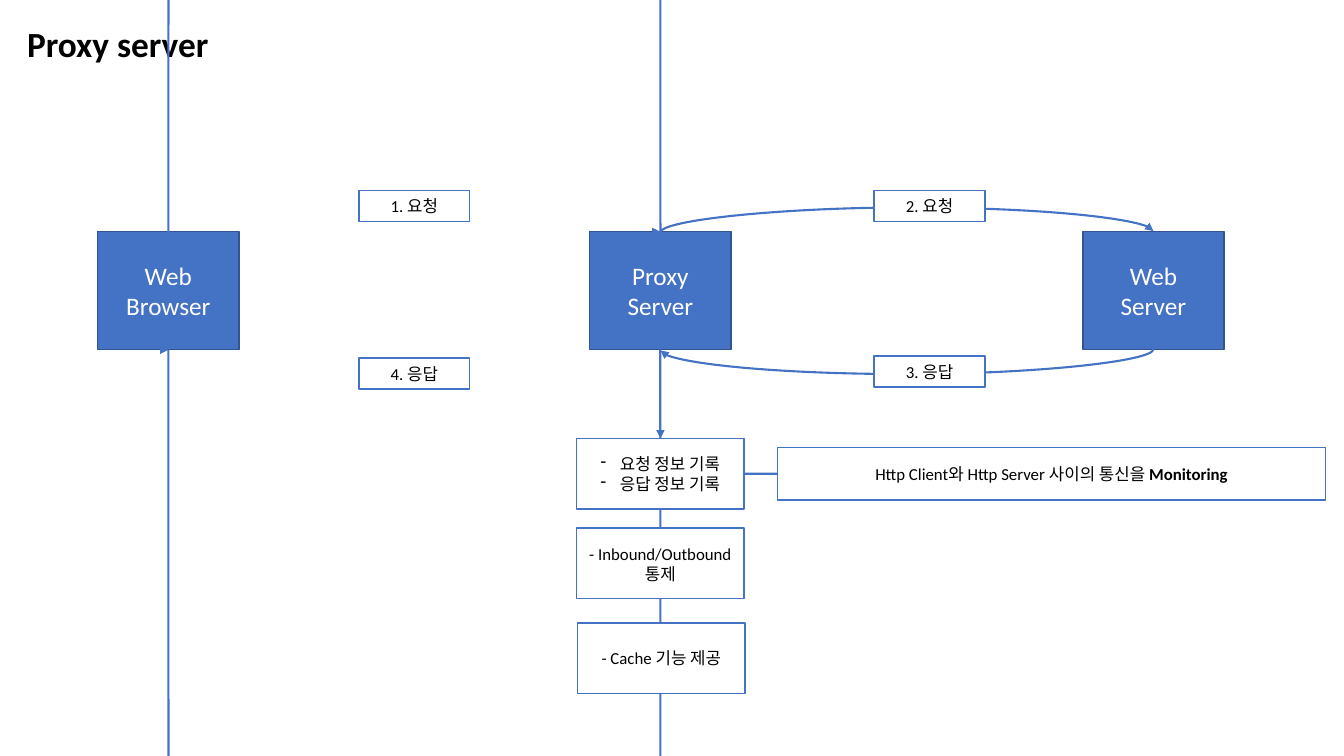
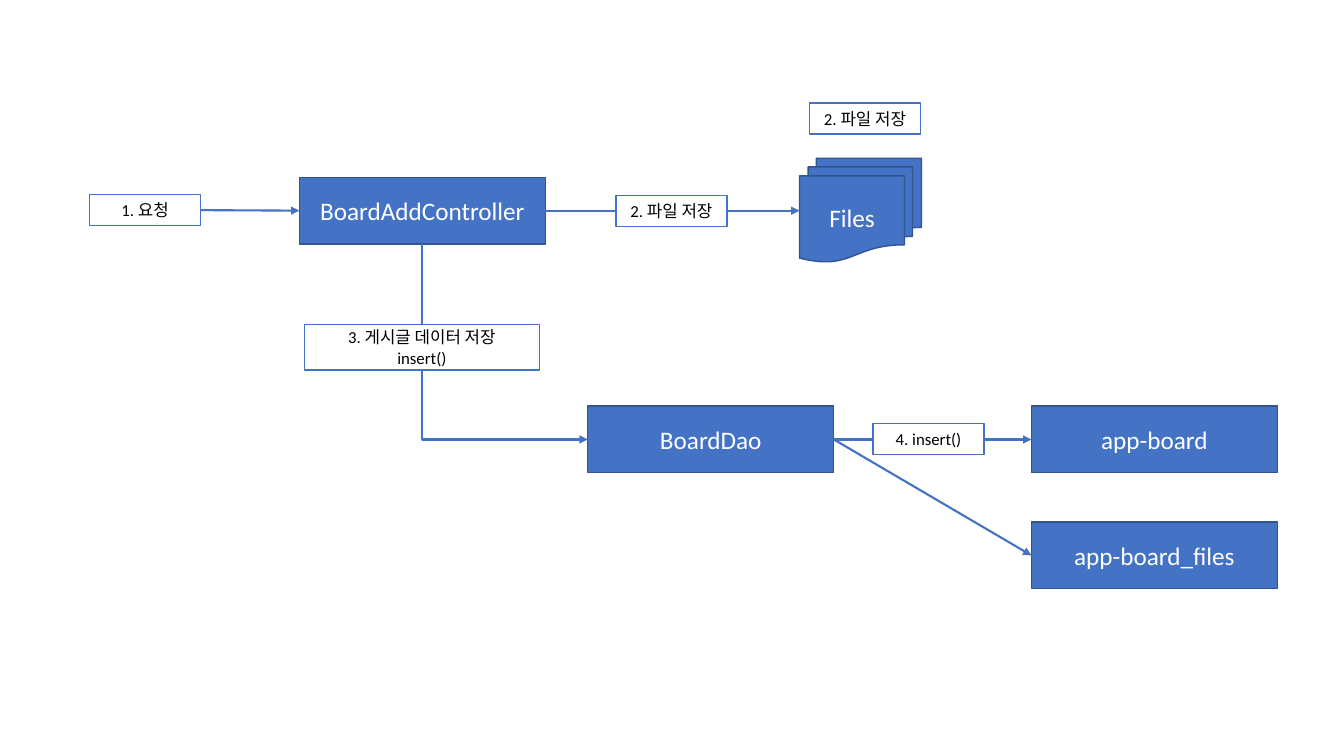
from lxml.etree import SubElement
from pptx import Presentation
from pptx.dml.color import RGBColor
from pptx.enum.shapes import MSO_CONNECTOR, MSO_SHAPE
from pptx.enum.text import MSO_ANCHOR, PP_ALIGN
from pptx.oxml.ns import qn
from pptx.util import Emu, Inches, Pt

COLORS = {"blue": "4472C4", "navy": "325491", "white": "FFFFFF", "black": "000000"}
FONT = "Calibri"
# style: fill, line, text colour, text size
STYLES = {
    "node": ("blue", "navy", "white", 18),
    "label": ("white", "blue", "black", 12),
}
TOP, LEFT, BOTTOM, RIGHT = range(4)
BULGE = Inches(0.25)

NODE_SIZE, BAR_SIZE = (1.4, 1.17), (2.44, 0.66)
LABEL_SIZE, TASK_SIZE = (1.1, 0.31), (1.66, 0.7)

# name: (text, left, top, size)
PROXY_NODES = {
    "browser": ("Web\nBrowser", 0.97, 2.3, NODE_SIZE),
    "server": ("Web\nServer", 10.74, 2.3, NODE_SIZE),
    "proxy": ("Proxy\nServer", 5.85, 2.3, NODE_SIZE),
}
# begin, end, side, thickness of the connector's frame
PROXY_CURVES = [
    ("browser", "proxy", TOP, Emu(1)),
    ("proxy", "server", TOP, Pt(1)),
    ("server", "proxy", BOTTOM, Pt(1)),
    ("proxy", "browser", BOTTOM, Emu(1)),
]
PROXY_LABELS = {
    "request 1": ("1. 요청", 3.56, 1.89, LABEL_SIZE),
    "request 2": ("2. 요청", 8.67, 1.89, LABEL_SIZE),
    "response 3": ("3. 응답", 8.67, 3.53, LABEL_SIZE),
    "response 4": ("4. 응답", 3.56, 3.55, LABEL_SIZE),
    "record": ("요청 정보 기록\n응답 정보 기록", 5.72, 4.35, TASK_SIZE),
    "control": ("- Inbound/Outbound\n통제", 5.72, 5.24, TASK_SIZE),
    "cache": ("- Cache 기능 제공", 5.73, 6.18, TASK_SIZE),
    "monitor": ("Http Client와 Http Server 사이의 통신을 **Monitoring",
                7.71, 4.44, (5.44, 0.52)),
}

BOARD_NODES = {
    "controller": ("BoardAddController", 2.97, 1.76, BAR_SIZE),
    "dao": ("BoardDao", 5.83, 4.03, BAR_SIZE),
    "board": ("app-board", 10.23, 4.03, BAR_SIZE),
    "board files": ("app-board_files", 10.23, 5.18, BAR_SIZE),
}
FILES = ("Files", 7.93, 1.57, (1.21, 1.03))
REQUEST = {"request": ("1. 요청", 0.89, 1.93, LABEL_SIZE)}
BOARD_LABELS = {
    "save on arrow": ("2. 파일 저장", 6.11, 1.94, LABEL_SIZE),
    "save above files": ("2. 파일 저장", 8.03, 1.02, LABEL_SIZE),
    "save post": ("3. 게시글 데이터 저장\ninsert()", 3.02, 3.22, (2.33, 0.45)),
    "insert": ("4. insert()", 8.66, 4.2, LABEL_SIZE),
}
BOARD_ARROWS = [("request", "controller"), ("dao", "board"), ("dao", "board files")]


def rgb(name):
    return RGBColor.from_string(COLORS[name])


def format_span(span, color, size, bold=False):
    span.font.name, span.font.size = FONT, Pt(size)
    span.font.color.rgb = rgb(color)
    if bold:
        span.font.bold = True


def add_box(page, content, style, preset=MSO_SHAPE.RECTANGLE):
    """Draw one box; text after ** in a line is bold."""
    text, left, top, (width, height) = content
    fill, line, color, size = STYLES[style]
    box = page.shapes.add_shape(preset, *map(Inches, (left, top, width, height)))
    box.shadow.inherit = False
    box.fill.solid()
    box.fill.fore_color.rgb = rgb(fill)
    box.line.color.rgb = rgb(line)
    box.line.width = Pt(1)
    frame = box.text_frame
    frame.word_wrap = True
    frame.vertical_anchor = MSO_ANCHOR.MIDDLE
    frame.text = text.replace("**", "")
    for para, source in zip(frame.paragraphs, text.split("\n")):
        para.alignment = PP_ALIGN.CENTER
        plain, _, strong = source.partition("**")
        para.runs[0].text = plain
        if strong:
            para.add_run().text = strong
        for index, span in enumerate(para.runs):
            format_span(span, color, size, bold=index > 0)
    return box


def add_boxes(page, contents, style):
    return {name: add_box(page, content, style) for name, content in contents.items()}


def add_dashes(box):
    for para in box.text_frame.paragraphs:
        properties = para._p.get_or_add_pPr()
        properties.set("marL", str(Inches(0.19)))
        properties.set("indent", str(-Inches(0.19)))
        SubElement(properties, qn("a:buChar")).set("char", "-")


def side_point(box, side):
    return {
        TOP: (box.left + box.width // 2, box.top),
        LEFT: (box.left, box.top + box.height // 2),
        BOTTOM: (box.left + box.width // 2, box.top + box.height),
        RIGHT: (box.left + box.width, box.top + box.height // 2),
    }[side]


def add_link(page, begin, begin_side, end, end_side,
             kind=MSO_CONNECTOR.STRAIGHT, arrow=True):
    """Join two boxes; end may also be a plain point, with end_side None."""
    finish = end if end_side is None else side_point(end, end_side)
    link = page.shapes.add_connector(kind, *side_point(begin, begin_side), *finish)
    link.begin_connect(begin, begin_side)
    if end_side is not None:
        link.end_connect(end, end_side)
    link.line.color.rgb = rgb("blue")
    link.line.width = Pt(1.5)
    if arrow:
        SubElement(link.line._get_or_add_ln(), qn("a:tailEnd")).set("type", "triangle")
    SubElement(link._element.spPr, qn("a:effectLst"))
    return link


def turn_link(link, center, width, height, angle, flips):
    """Give a connector a rotated frame around its center."""
    link.left, link.top = (Emu(center[0] - width // 2), Emu(center[1] - height // 2))
    link.width, link.height = Emu(width), Emu(height)
    frame = link._element.spPr.find(qn("a:xfrm"))
    frame.set("rot", str(angle * 60000))
    for flip in ("flipH", "flipV"):
        frame.set(flip, "1" if flip in flips else "0")


def add_curve(page, begin, end, side, thickness):
    link = add_link(page, begin, side, end, side, MSO_CONNECTOR.CURVE)
    (x1, y), (x2, _) = side_point(begin, side), side_point(end, side)
    flips = ("flipH", "flipV") if side == TOP else ()
    turn_link(link, ((x1 + x2) // 2, y), thickness, abs(x2 - x1), 90, flips)
    geometry = link._element.spPr.find(qn("a:prstGeom"))
    guide = SubElement(geometry.find(qn("a:avLst")), qn("a:gd"))
    guide.set("name", "adj1")
    guide.set("fmla", f"val {BULGE * 100000 // thickness}")


def add_corner(page, begin, end):
    """Go down from begin, then right into end."""
    link = add_link(page, begin, BOTTOM, end, LEFT, MSO_CONNECTOR.ELBOW)
    (x1, y1), (x2, y2) = side_point(begin, BOTTOM), side_point(end, LEFT)
    turn_link(link, ((x1 + x2) // 2, (y1 + y2) // 2), y2 - y1, x2 - x1, 270, ("flipH",))
    link._element.spPr.find(qn("a:prstGeom")).set("prst", "bentConnector2")


def add_title(page, text):
    box = page.shapes.add_textbox(*map(Inches, (0.17, 0.2, 4.12, 0.51)))
    frame = box.text_frame
    frame.word_wrap = True
    frame.vertical_anchor = MSO_ANCHOR.MIDDLE
    frame.text = text
    para = frame.paragraphs[0]
    para.line_spacing = 0.9
    format_span(para.runs[0], "black", 25.2, bold=True)


def build_proxy(page):
    nodes = add_boxes(page, PROXY_NODES, "node")
    add_title(page, "Proxy server")
    for begin, end, side, thickness in PROXY_CURVES:
        add_curve(page, nodes[begin], nodes[end], side, thickness)
    labels = add_boxes(page, PROXY_LABELS, "label")
    add_dashes(labels["record"])
    add_link(page, nodes["proxy"], BOTTOM, labels["record"], TOP)
    add_link(page, labels["record"], RIGHT, labels["monitor"], LEFT, arrow=False)


def build_board(page):
    boxes = add_boxes(page, BOARD_NODES, "node") | add_boxes(page, REQUEST, "label")
    files = add_box(page, FILES, "node", MSO_SHAPE.FLOWCHART_MULTIDOCUMENT)
    for begin, end in BOARD_ARROWS:
        add_link(page, boxes[begin], RIGHT, boxes[end], LEFT)
    row = side_point(boxes["controller"], RIGHT)[1]
    add_link(page, boxes["controller"], RIGHT, (files.left, row), None)
    add_corner(page, boxes["controller"], boxes["dao"])
    add_boxes(page, BOARD_LABELS, "label")


def main():
    deck = Presentation()
    deck.slide_width, deck.slide_height = Inches(13.33), Inches(7.5)
    for build in (build_proxy, build_board):
        build(deck.slides.add_slide(deck.slide_layouts[6]))
    deck.save("out.pptx")


if __name__ == "__main__":
    main()
